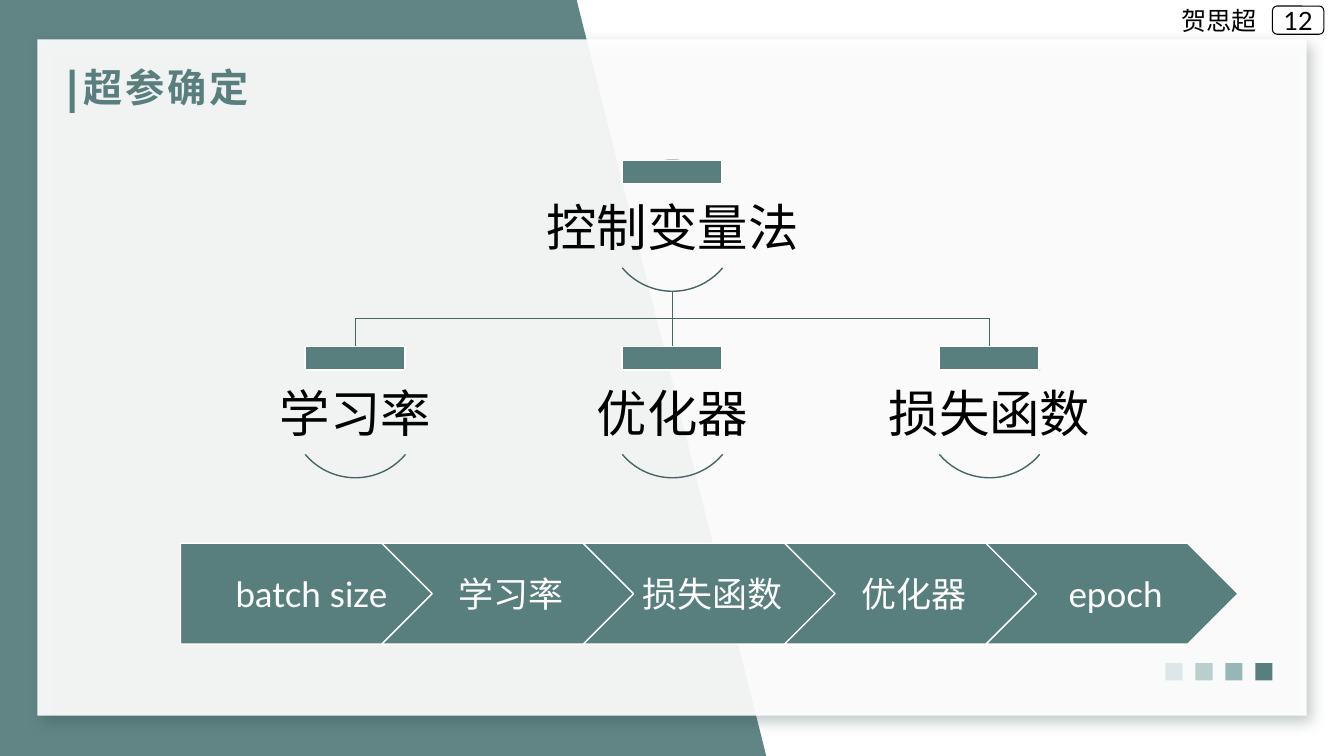
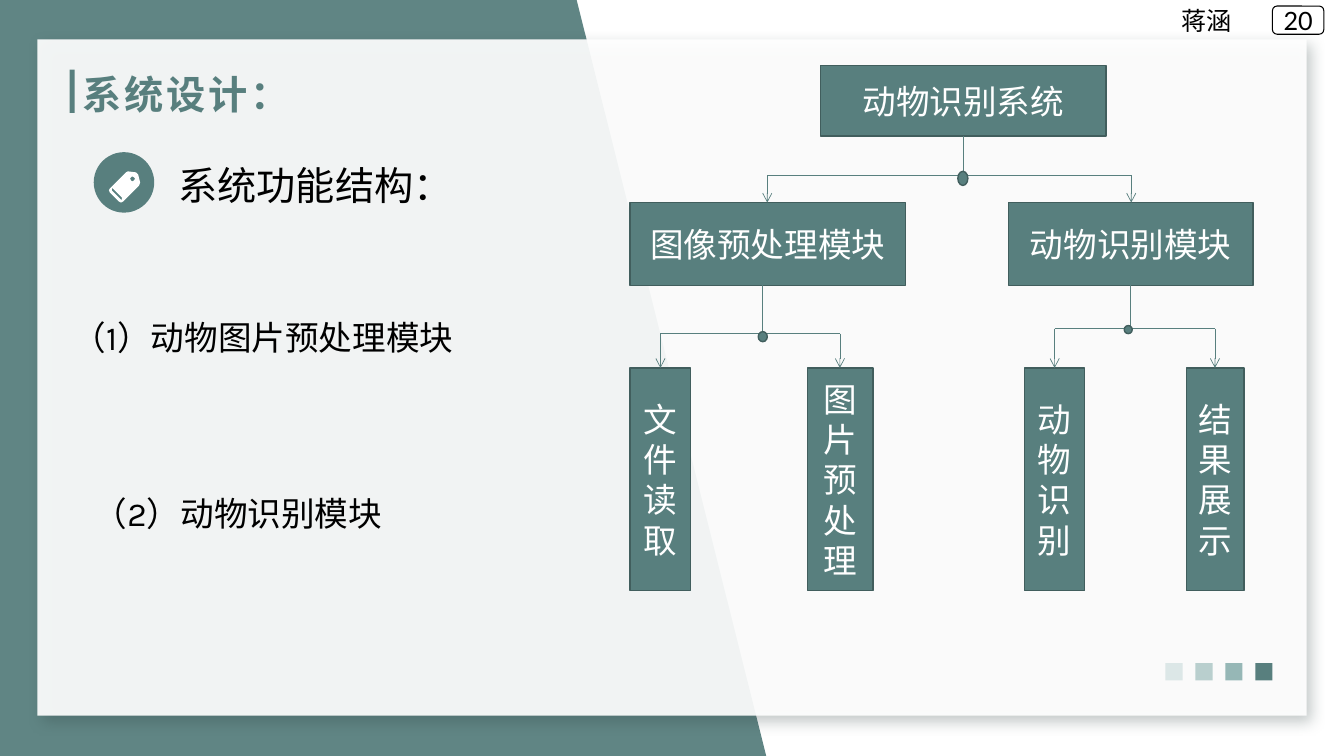
"""Build two project slides: hyperparameter choice and system design."""
from lxml import etree
from pptx import Presentation
from pptx.dml.color import RGBColor
from pptx.enum.shapes import MSO_CONNECTOR, MSO_SHAPE
from pptx.enum.text import MSO_ANCHOR, PP_ALIGN
from pptx.oxml.ns import qn
from pptx.util import Inches, Pt

STRAIGHT = MSO_CONNECTOR.STRAIGHT
RECT, ROUND, OVAL = MSO_SHAPE.RECTANGLE, MSO_SHAPE.ROUNDED_RECTANGLE, MSO_SHAPE.OVAL
ARC, PENTAGON, CHEVRON = MSO_SHAPE.ARC, MSO_SHAPE.PENTAGON, MSO_SHAPE.CHEVRON
LEFT, CENTER = PP_ALIGN.LEFT, PP_ALIGN.CENTER
TOP, MIDDLE = MSO_ANCHOR.TOP, MSO_ANCHOR.MIDDLE

COLORS = {
    "teal": "587F7E", "edge": "415E5D", "branch": "466665", "shadow": "2C403F",
    "mid": "96B7B6", "light": "B9CFCE", "pale": "DCE7E7",
    "white": "FFFFFF", "black": "000000",
}
HEAD, BODY = "Karla", "Lato"
PADDING = (0.1, 0.05, 0.1, 0.05)
FLUSH = (0, 0, 0, 0)

ROOT = "控制变量法"
FACTORS = ["学习率", "优化器", "损失函数"]
STEPS = ["batch size", "学习率", "损失函数", "优化器", "epoch"]

POINTS = [
    ("系统功能结构：", 1.77, 1.6, 2.61, 0.47, 28),
    ("（1）动物图片预处理模块", 0.72, 3.14, 4.15, 0.4, 24),
    ("（2）动物识别模块", 0.93, 4.89, 3.57, 0.4, 24),
]
MODULES = [
    ("动物识别系统", 8.14, 0.65, 2.83, 0.7),
    ("图像预处理模块", 6.25, 2.01, 2.73, 0.82),
    ("动物识别模块", 10, 2.01, 2.43, 0.82),
    ("文件读取", 6.25, 3.65, 0.6, 2.21),
    ("图片预处理", 8.01, 3.65, 0.65, 2.21),
    ("动物识别", 10.16, 3.65, 0.6, 2.21),
    ("结果展示", 11.77, 3.65, 0.57, 2.21),
]
BRANCHES = [
    (9.55, 1.35, 1.74, 2.01, [7.61, 11.22], (9.5, 1.7, 0.1, 0.14)),
    (7.56, 2.83, 3.31, 3.65, [6.55, 8.33], (7.52, 3.29, 0.09, 0.1)),
    (11.21, 2.83, 3.26, 3.65, [10.46, 12.05], (11.15, 3.23, 0.08, 0.08)),
]
TAG_OUTLINES = [
    [(1.39, 1.81), (1.37, 1.73), (1.35, 1.71), (1.27, 1.7), (1.25, 1.71), (1.09, 1.87),
     (1.08, 1.89), (1.09, 1.91), (1.18, 2), (1.2, 2.01), (1.22, 2), (1.38, 1.84)],
    [(1.21, 1.98), (1.2, 1.98), (1.11, 1.89), (1.11, 1.87), (1.12, 1.87), (1.21, 1.96)],
    [(1.33, 1.79), (1.31, 1.8), (1.3, 1.79), (1.29, 1.77), (1.3, 1.76), (1.31, 1.75),
     (1.33, 1.76), (1.34, 1.77)],
]


def rgb(color):
    return RGBColor.from_string(COLORS[color])


def style(sp, fill=None, line=None, width=1, alpha=None):
    sp.shadow.inherit = False
    if fill:
        sp.fill.solid()
        sp.fill.fore_color.rgb = rgb(fill)
        if alpha:
            clr = sp._element.spPr.find(qn("a:solidFill"))[0]
            etree.SubElement(clr, qn("a:alpha")).set("val", str(alpha * 1000))
    else:
        sp.fill.background()
    if line:
        sp.line.color.rgb = rgb(line)
        sp.line.width = Pt(width)
    else:
        sp.line.fill.background()
    return sp


def add_shape(s, kind, box, fill=None, line=None, width=1, alpha=None):
    sp = s.shapes.add_shape(kind, *map(Inches, box))
    return style(sp, fill, line, width, alpha)


def add_outline(s, outlines, fill, alpha=None):
    first, *others = [[(Inches(x), Inches(y)) for x, y in pts] for pts in outlines]
    builder = s.shapes.build_freeform(*first[0])
    builder.add_line_segments(first[1:])
    for pts in others:
        builder.move_to(*pts[0])
        builder.add_line_segments(pts[1:])
    return style(builder.convert_to_shape(), fill, alpha=alpha)


def put_text(sp, text, size, color="black", font=BODY, align=LEFT, anchor=TOP,
             insets=PADDING, wrap=True):
    tf = sp.text_frame
    tf.word_wrap = wrap
    tf.vertical_anchor = anchor
    tf.margin_left, tf.margin_top, tf.margin_right, tf.margin_bottom = map(Inches, insets)
    p = tf.paragraphs[0]
    p.text = text
    p.alignment = align
    p.font.size = Pt(size)
    p.font.name = font
    p.font.color.rgb = rgb(color)
    return p


def add_text(s, box, text, size, **options):
    return put_text(s.shapes.add_textbox(*map(Inches, box)), text, size, **options)


def add_line(s, x1, y1, x2, y2, color, width, arrow=False):
    c = s.shapes.add_connector(STRAIGHT, *map(Inches, (x1, y1, x2, y2)))
    c.line.color.rgb = rgb(color)
    c.line.width = Pt(width)
    spPr = c._element.spPr
    if arrow:
        etree.SubElement(spPr.find(qn("a:ln")), qn("a:tailEnd")).set("type", "arrow")
    etree.SubElement(spPr, qn("a:effectLst"))


def add_branches(s, x, top, bar, bottom, children, color, width, arrow=False):
    add_line(s, x, top, x, bar, color, width)
    add_line(s, children[0], bar, children[-1], bar, color, width)
    for child in children:
        add_line(s, child, bar, child, bottom, color, width, arrow)


def add_panel_shadow(panel):
    effects = panel._element.spPr.find(qn("a:effectLst"))
    shadow = etree.SubElement(effects, qn("a:outerShdw"), blurRad=str(Pt(10)),
                              dist=str(Pt(6)), dir=str(45 * 60000),
                              algn="tl", rotWithShape="0")
    clr = etree.SubElement(shadow, qn("a:srgbClr"), val=COLORS["shadow"])
    etree.SubElement(clr, qn("a:alpha"), val="30000")


def new_slide(prs, title, title_pos, author, number):
    s = prs.slides.add_slide(prs.slide_layouts[6])
    add_outline(s, [[(0, 0), (5.72, 0), (7.6, 7.5), (0, 7.5)]], "teal", alpha=95)
    add_panel_shadow(add_shape(s, RECT, (0.37, 0.39, 12.59, 6.71), "white", alpha=92))
    for i, color in enumerate(["pale", "light", "mid", "teal"]):
        add_shape(s, RECT, (11.56 + 0.297 * i, 6.58, 0.17, 0.17), color)
    add_shape(s, RECT, (0.69, 0.69, 0.05, 0.43), "teal")
    badge = add_shape(s, ROUND, (12.62, 0.06, 0.51, 0.28), "white", "black", 0.75)
    put_text(badge, number, 18, align=CENTER, anchor=MIDDLE, insets=FLUSH, wrap=False)
    p = add_text(s, (*title_pos, 5.26, 0.48), title, 28, color="teal", font=HEAD)
    p.font.bold = True
    p.runs[0]._r.get_or_add_rPr().set("spc", "200")
    add_text(s, (11.62, 0, 1.27, 0.4), author, 18)
    return s


def add_node(s, text, center, top):
    for start, end in [(132, 192), (24, 84)]:
        arc = add_shape(s, ARC, (center - 0.65, top, 1.3, 1.3), line="branch")
        arc.adjustments[0], arc.adjustments[1] = start, end
    add_text(s, (center - 1.3, top + 0.24, 2.6, 0.83), text, 36, align=CENTER,
             anchor=MIDDLE, insets=(0.03,) * 4)
    add_shape(s, RECT, (center - 0.5, top, 0.99, 0.23), "teal", "white")


def build_hyperparameters(prs):
    s = new_slide(prs, "超参确定", (0.73, 0.58), "贺思超", "12")
    middle, root_top, factor_top = 6.67, 1.59, 3.44
    centers = [middle + 3.145 * (i - 1) for i in range(len(FACTORS))]
    add_branches(s, middle, root_top + 1.3, 3.16, factor_top, centers, "branch", 1)
    add_node(s, ROOT, middle, root_top)
    for text, center in zip(FACTORS, centers):
        add_node(s, text, center, factor_top)
    for i, text in enumerate(STEPS):
        kind, inset = (CHEVRON, 0.11) if i else (PENTAGON, 0.39)
        sp = add_shape(s, kind, (1.79 + 1.9975 * i, 5.39, 2.5, 1), "teal", "white")
        put_text(sp, text, 25, color="white", align=CENTER, anchor=MIDDLE,
                 insets=(inset, 0.07, 0.04, 0.07), wrap=False)


def build_system_design(prs):
    s = new_slide(prs, "系统设计：", (0.72, 0.65), "蒋涵", "20")
    for text, *box, size in POINTS:
        add_text(s, box, text, size, font=HEAD, insets=FLUSH)
    add_shape(s, OVAL, (0.93, 1.51, 0.6, 0.6), "teal")
    add_outline(s, TAG_OUTLINES, "white")
    for text, *box in MODULES:
        sp = add_shape(s, RECT, box, "teal", "edge")
        put_text(sp, text, 24, color="white", align=CENTER, anchor=MIDDLE)
    for *branch, dot in BRANCHES:
        add_branches(s, *branch, "teal", 0.5, arrow=True)
        add_shape(s, OVAL, dot, "teal", "edge")


def main():
    prs = Presentation()
    prs.slide_width, prs.slide_height = Inches(13.33), Inches(7.5)
    build_hyperparameters(prs)
    build_system_design(prs)
    prs.save("out.pptx")


if __name__ == "__main__":
    main()
